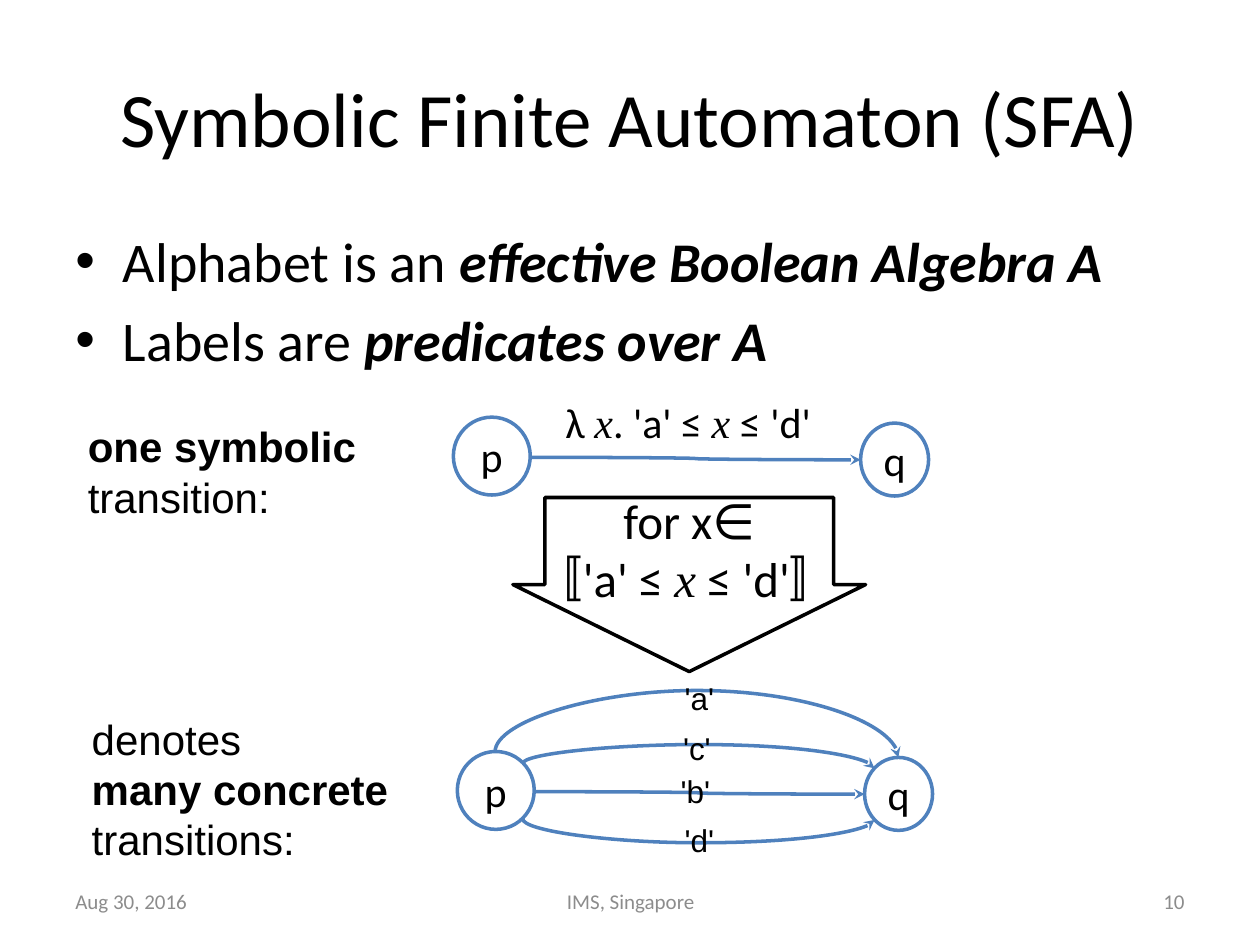
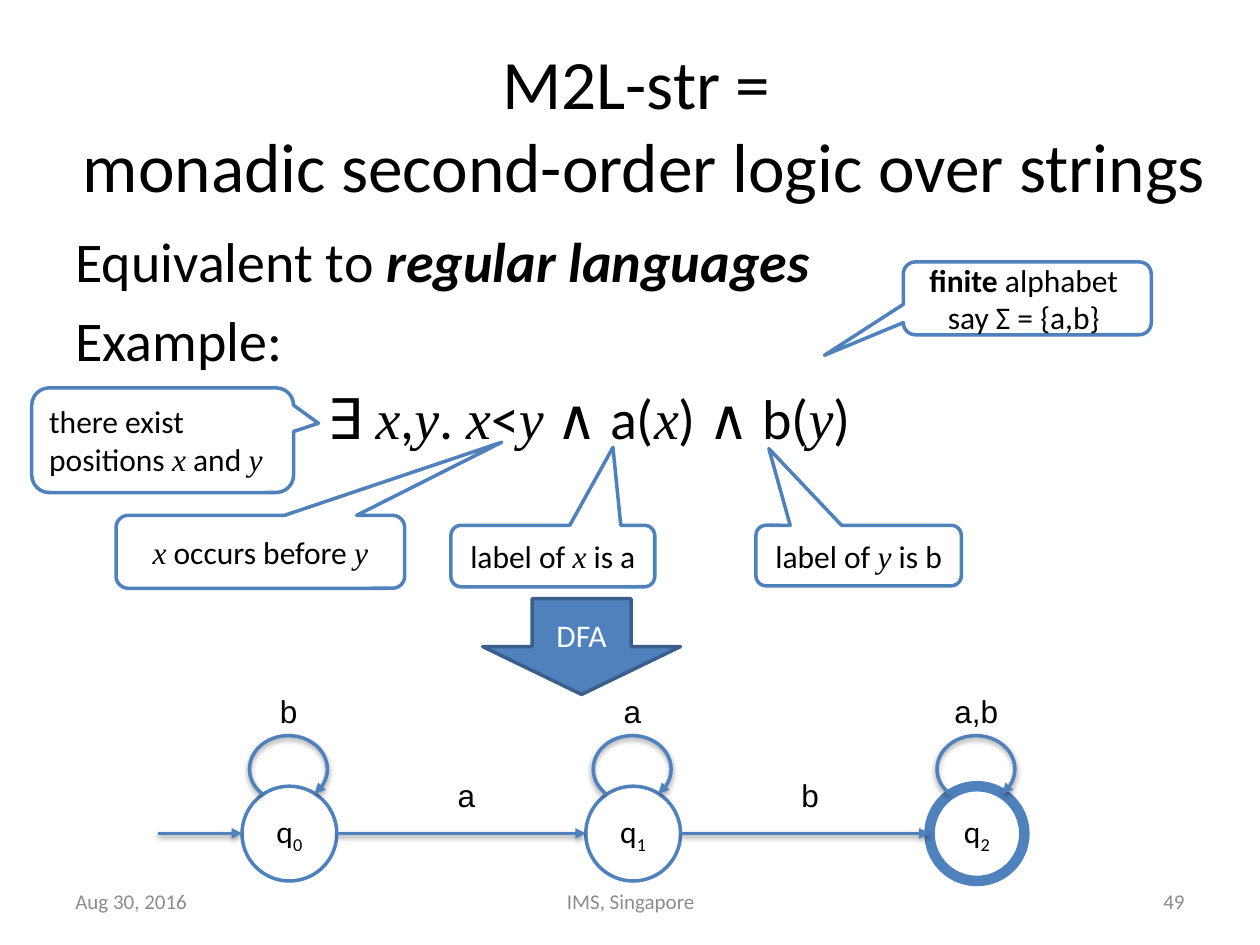
from lxml import etree
from pptx import Presentation
from pptx import util as u
from pptx.dml.color import RGBColor
from pptx.enum import shapes, text
from pptx.oxml import ns

BLACK = RGBColor(0x00, 0x00, 0x00)
WHITE = RGBColor(0xFF, 0xFF, 0xFF)
BLUE = RGBColor(0x4F, 0x81, 0xBD)
NAVY = RGBColor(0x3A, 0x5F, 0x8C)
GREY = RGBColor(0x8C, 0x8C, 0x8C)

LEFT, CENTER, RIGHT = text.PP_ALIGN.LEFT, text.PP_ALIGN.CENTER, text.PP_ALIGN.RIGHT
TOP, MIDDLE = text.MSO_ANCHOR.TOP, text.MSO_ANCHOR.MIDDLE
SHAPE = shapes.MSO_SHAPE
LINK = shapes.MSO_CONNECTOR

BOLD = {"bold": True}
STRONG = {"bold": True, "italic": True}
VARIABLE = {"name": "Times New Roman", "italic": True}
BRACKET = {"name": "Courier New", "spc": "-300"}
SUBSCRIPT = {"baseline": "-25000"}
X, Y = ("x", VARIABLE), ("y", VARIABLE)


def add_xml(parent, tag, **attributes):
    return etree.SubElement(parent, ns.qn(tag), attributes)


class Deck:
    def __init__(self):
        self.deck = Presentation()
        self.deck.slide_width, self.deck.slide_height = u.Cm(25.4), u.Cm(19.05)
        self.page = None

    def new_page(self, number):
        self.page = self.deck.slides.add_slide(self.deck.slide_layouts[6])
        footers = (
            ("Aug 30, 2016", 1.27, 5.92, LEFT),
            ("IMS, Singapore", 8.69, 8.05, CENTER),
            (str(number), 18.21, 5.92, RIGHT),
        )
        for words, left, width, align in footers:
            self.text((left, 17.65, width, 1.02), [[words]], 12, align=align,
                      anchor=MIDDLE, color=GREY)

    def fill_text(self, box, paragraphs, size, font="Calibri", color=BLACK, align=LEFT,
                  anchor=TOP, wrap=True):
        frame = box.text_frame
        frame.word_wrap = wrap
        frame.vertical_anchor = anchor
        for index, spans in enumerate(paragraphs):
            para = frame.add_paragraph() if index else frame.paragraphs[0]
            para.alignment = align
            for item in spans:
                words, style = item if isinstance(item, tuple) else (item, {})
                if words == "\n":
                    para.add_line_break()
                    continue
                span = para.add_run()
                span.text = words
                span.font.size = u.Pt(size)
                span.font.name = style.get("name", font)
                span.font.bold = style.get("bold", False)
                span.font.italic = style.get("italic", False)
                span.font.color.rgb = color
                for key in ("spc", "baseline"):
                    if key in style:
                        span._r.get_or_add_rPr().set(key, style[key])
        return frame

    def text(self, at, paragraphs, size, **style):
        box = self.page.shapes.add_textbox(*map(u.Cm, at))
        return self.fill_text(box, paragraphs, size, **style)

    def title(self, at, spans, size):
        self.text(at, [spans], size, align=CENTER, anchor=MIDDLE)

    def body(self, at, paragraphs, bullets=False):
        frame = self.text(at, paragraphs, 32)
        for index, para in enumerate(frame.paragraphs):
            if bullets:
                self.indent(para, 0.96, -0.96)
                add_xml(para._p.pPr, "a:buFont", typeface="Arial")
                add_xml(para._p.pPr, "a:buChar", char="•")
            if index:
                para.space_before = u.Pt(6.4)
        return frame

    def indent(self, para, margin, first=0):
        properties = para._p.get_or_add_pPr()
        properties.set("marL", str(u.Cm(margin)))
        properties.set("indent", str(u.Cm(first)))

    def label(self, words, center, top):
        self.text((center - 0.7, top, 1.4, 1.02), [[words]], 18, font="Arial",
                  align=CENTER, wrap=False)

    def shape(self, kind, at, fill=WHITE, line=BLUE, width=2, adjust=()):
        box = self.page.shapes.add_shape(kind, *map(u.Cm, at))
        box.shadow.inherit = False
        for index, value in enumerate(adjust):
            box.adjustments[index] = value
        if fill is None:
            box.fill.background()
        else:
            box.fill.solid()
            box.fill.fore_color.rgb = fill
        box.line.color.rgb = line
        box.line.width = u.Pt(width)
        return box

    def node(self, at, spans, size, width=2):
        box = self.shape(SHAPE.OVAL, at, width=width)
        self.fill_text(box, [spans], size, align=CENTER, anchor=MIDDLE, wrap=False)

    def callout(self, at, tip, paragraphs, align=CENTER):
        box = self.shape(SHAPE.ROUNDED_RECTANGULAR_CALLOUT, at, adjust=(*tip, 0.167))
        self.fill_text(box, paragraphs, 18, align=align, anchor=MIDDLE)

    def arrowhead(self, line, kind):
        add_xml(line.element.spPr.find(ns.qn("a:ln")), "a:tailEnd", type=kind)

    def soft_shadow(self, effects):
        shadow = add_xml(effects, "a:outerShdw", blurRad="40000", dist="20000",
                         dir="5400000", rotWithShape="0")
        add_xml(add_xml(shadow, "a:srgbClr", val="000000"), "a:alpha", val="38000")

    def connector(self, kind, start, end, head, shadow=False):
        line = self.page.shapes.add_connector(kind, *map(u.Cm, (*start, *end)))
        line.line.color.rgb = BLUE
        line.line.width = u.Pt(2)
        self.arrowhead(line, head)
        effects = add_xml(line.element.spPr, "a:effectLst")
        if shadow:
            self.soft_shadow(effects)
        return line

    def bow(self, start, end, depth):
        (x1, y1), (x2, y2) = start, end
        across, down = x2 - x1, y2 - y1
        left, top = (x1 + x2 - down) / 2, (y1 + y2 - across) / 2
        line = self.connector(LINK.CURVE, (left, top), (left + down, top + across), "stealth")
        frame = line.element.spPr.find(ns.qn("a:xfrm"))
        frame.set("rot", "16200000")
        frame.set("flipH", "1")
        geometry = line.element.spPr.find(ns.qn("a:prstGeom"))
        guides = geometry.find(ns.qn("a:avLst"))
        if guides is None:
            guides = add_xml(geometry, "a:avLst")
        add_xml(guides, "a:gd", name="adj1", fmla=f"val {round(depth / down * 100000)}")

    def loop(self, at):
        arc = self.shape(SHAPE.ARC, at, fill=None, adjust=(81.888, 26.043))
        self.arrowhead(arc, "triangle")
        self.soft_shadow(arc.element.spPr.find(ns.qn("a:effectLst")))


def symbolic_automaton(deck):
    deck.new_page(10)
    deck.title((1.27, 0.76, 22.86, 3.18), ["Symbolic Finite Automaton (SFA)"], 44)
    deck.body((1.27, 4.45, 23.7, 4.65), [
        ["Alphabet is an ", ("effective Boolean Algebra A", STRONG)],
        ["Labels are ", ("predicates over A", STRONG)],
    ], bullets=True)

    for right, down in ((0, 0), (0.08, 6.74)):
        deck.node((17.35 + right, 8.53 + down, 1.37, 1.47), ["q"], 24)
        deck.connector(LINK.CURVE, (10.69 + right, 9.22 + down),
                       (17.35 + right, 9.27 + down), "stealth")
        deck.node((9.14 + right, 8.41 + down, 1.55, 1.57), ["p"], 24)

    deck.text((11.15, 7.87, 6.3, 1.27), [["λ ", X, ". 'a' ≤ ", X, " ≤ 'd'"]], 24)
    deck.text((1.52, 8.36, 5.92, 2.31), [[("one symbolic", BOLD), " transition:"]],
              24, font="Arial")
    deck.text((1.6, 14.25, 6.88, 3.33),
              [["denotes"], [("many concrete", BOLD)], ["transitions:"]], 24, font="Arial")

    deck.bow((9.98, 15.16), (18.11, 15.27), -1.24)
    deck.bow((10.54, 15.39), (17.63, 15.49), -0.38)
    deck.bow((10.54, 16.51), (17.63, 16.53), 0.48)
    for words, center, top in (("'a'", 14.1, 13.56), ("'b'", 14.02, 15.44),
                               ("'c'", 14.05, 14.58), ("'d'", 14.1, 16.43)):
        deck.label(words, center, top)

    arrow = deck.shape(SHAPE.DOWN_ARROW, (10.34, 10.03, 7.11, 3.51), line=BLACK,
                       adjust=(0.819, 0.5))
    frame = deck.fill_text(arrow, [["for x∈", "\n", ("〚", BRACKET), "'a' ≤ ", X, " ≤ 'd'",
                                    ("〛 ", BRACKET)]],
                           28, align=CENTER, anchor=MIDDLE, wrap=False)
    frame.margin_left = frame.margin_right = frame.margin_top = frame.margin_bottom = 0


def monadic_logic(deck):
    deck.new_page(49)
    deck.title((1.27, 0.64, 23.44, 3.68),
               ["M2L-str = ", "\n", "monadic second-order logic over strings"], 39.6)
    frame = deck.body((1.27, 4.45, 22.86, 13.97), [
        ["Equivalent to ", ("regular languages", STRONG)],
        ["Example:"],
        ["∃ ", X, ",", Y, ". ", X, "<", Y, " ∧ a(", X, ") ∧ b(", Y, ")"],
    ])
    deck.indent(frame.paragraphs[2], 5.08)

    first, step, size, middle = 4.88, 6.93, 1.91, 16.8
    for index, (width, words) in enumerate(((2, "b"), (2, "a"), (6, "a,b"))):
        left = first + step * index
        deck.node((left, 15.85, size, size), ["q", (str(index), SUBSCRIPT)], 18, width)
        deck.loop((left + 0.15, 14.83, 1.57, 1.35))
        deck.label(words, left + 0.94, 13.82)
        start = left - step + size if index else 3.18
        deck.connector(LINK.STRAIGHT, (start, middle), (left, middle), "triangle", shadow=True)
    for index, words in enumerate("ab"):
        deck.label(words, 9.4 + step * index, 15.52)

    arrow = deck.shape(SHAPE.DOWN_ARROW, (9.73, 12.07, 3.99, 1.93), fill=BLUE, line=NAVY)
    deck.fill_text(arrow, [["DFA"]], 18, color=WHITE, align=CENTER, anchor=MIDDLE)

    deck.callout((2.34, 10.39, 5.82, 1.47), (0.836, -1.503), [[X, " occurs before ", Y]])
    deck.callout((9.09, 10.59, 4.11, 1.24), (0.295, -1.766), [["label of ", X, " is a"]])
    deck.callout((15.24, 10.59, 4.14, 1.22), (-0.437, -1.767), [["label of ", Y, " is b"]])
    deck.callout((18.21, 5.28, 5, 1.47), (-0.818, 0.782),
                 [[("finite", BOLD), " alphabet ", "\n", "say Σ = {a,b} "]])
    deck.callout((0.64, 7.82, 5.28, 2.11), (0.595, -0.162),
                 [["there exist positions ", X, " and ", Y]], align=LEFT)


def main():
    deck = Deck()
    symbolic_automaton(deck)
    monadic_logic(deck)
    deck.deck.save("out.pptx")


if __name__ == "__main__":
    main()
